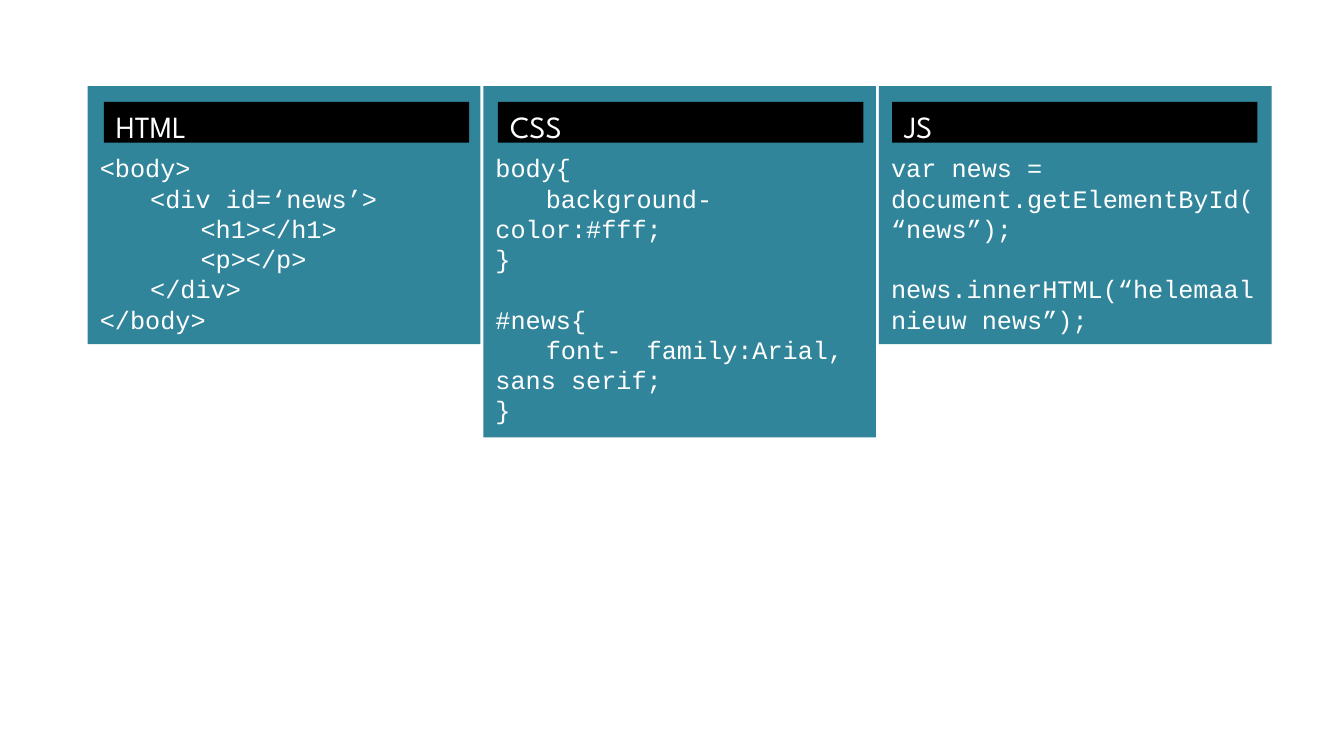
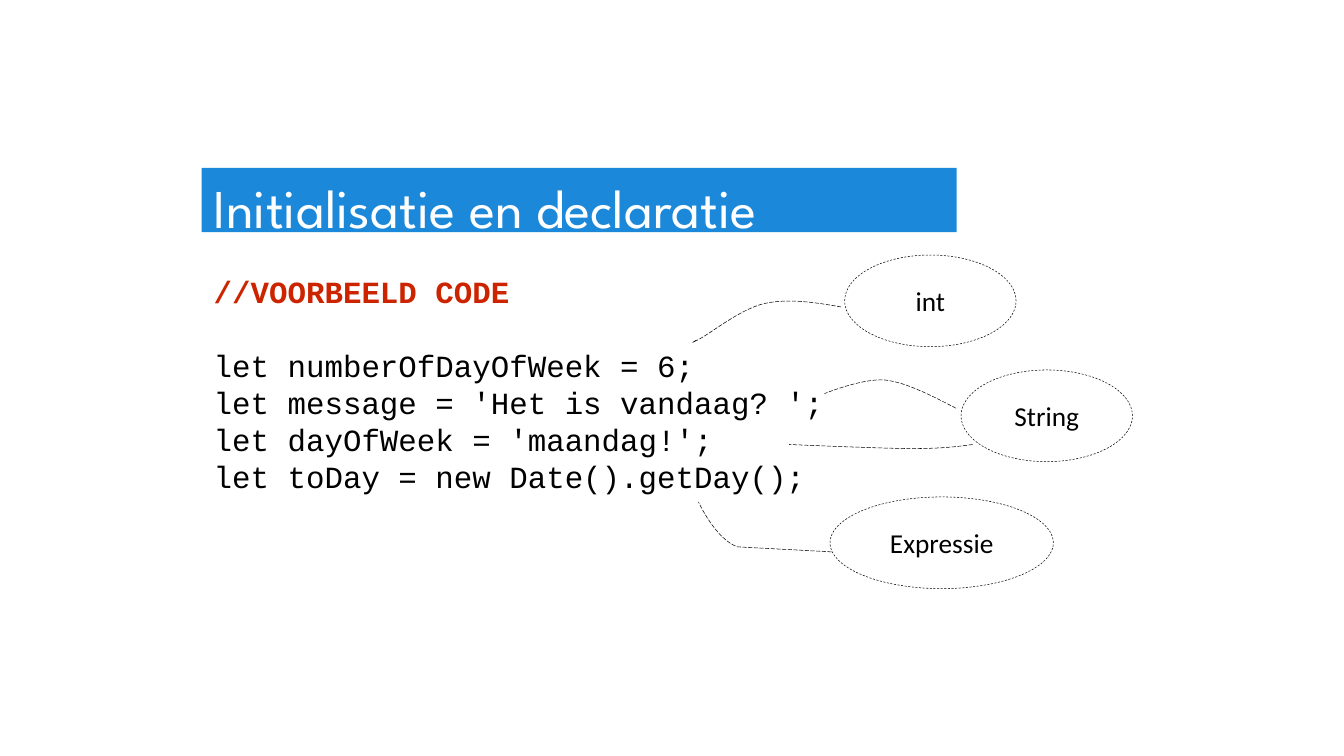
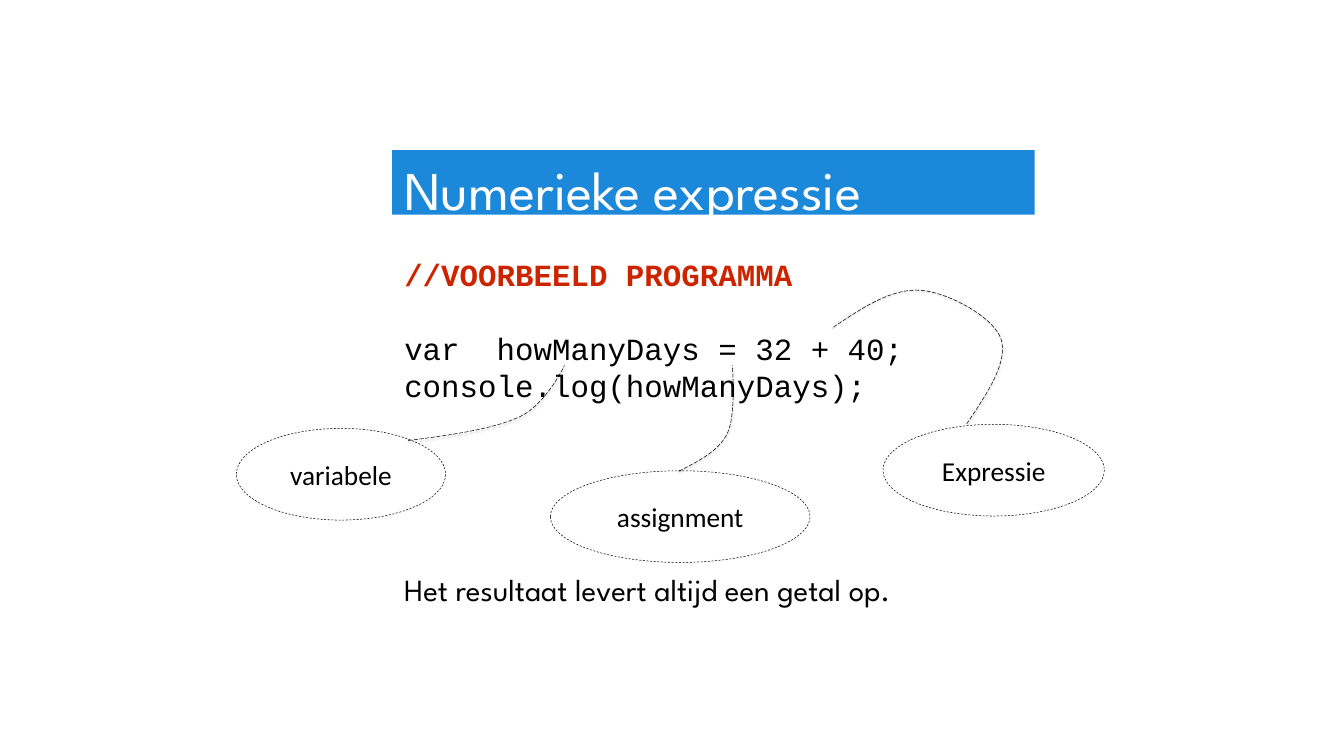
"""Three slides on web code: language panels and annotated JavaScript examples."""
import dataclasses

import lxml.etree
import pptx
import pptx.dml.color
import pptx.enum.dml
import pptx.enum.shapes
import pptx.enum.text
import pptx.oxml.ns
import pptx.util

Pt = pptx.util.Pt
qn = pptx.oxml.ns.qn
SHAPE = pptx.enum.shapes.MSO_SHAPE
DASH = pptx.enum.dml.MSO_LINE
ANCHOR = pptx.enum.text.MSO_ANCHOR
ALIGN = pptx.enum.text.PP_ALIGN


@dataclasses.dataclass(frozen=True)
class Style:
    """Typeface, size, colour and weight of a piece of text."""

    font: str
    size: int
    color: str
    bold: bool = False


@dataclasses.dataclass(frozen=True)
class Theme:
    """Colours, type styles and measures shared by all slides."""

    panel: str = "31859B"
    tab: str = "000000"
    banner: str = "1C88DA"
    ink: str = "000000"
    title: Style = Style("League Spartan", 78, "FFFFFF")
    heading: Style = Style("League Spartan", 44, "FFFFFF")
    note: Style = Style("League Spartan", 44, "000000")
    panel_code: Style = Style("Courier New", 36, "FFFFFF")
    code: Style = Style("Courier New", 44, "000000")
    comment: Style = Style("Courier New", 44, "CD2400", True)
    label: Style = Style("Calibri", 39, "000000")
    inset_x: float = 17.28
    inset_y: float = 8.64
    line_height: float = 1.2
    line_width: float = 0.75
    tab_step: float = 72
    tab_count: int = 7


THEME = Theme()


def rgb(color):
    """Turn a hex string into a colour."""
    return pptx.dml.color.RGBColor.from_string(color)


def set_tabs(p):
    """Give a paragraph evenly spaced tab stops."""
    pPr = p._p.get_or_add_pPr()
    pPr.set("defTabSz", str(Pt(THEME.tab_step)))
    stops = lxml.etree.SubElement(pPr, qn("a:tabLst"))
    for i in range(1, THEME.tab_count + 1):
        lxml.etree.SubElement(stops, qn("a:tab"), pos=str(Pt(THEME.tab_step * i)), algn="l")


def write(sp, lines, style, first=None, top=0, align=ALIGN.LEFT, anchor=ANCHOR.TOP):
    """Write lines into a shape; an empty line becomes space before the next one."""
    tf = sp.text_frame
    tf.word_wrap = True
    tf.vertical_anchor = anchor
    tf.margin_left = tf.margin_right = Pt(THEME.inset_x)
    tf.margin_top, tf.margin_bottom = Pt(THEME.inset_y + top), Pt(THEME.inset_y)
    tf.text = "\n".join(line for line in lines if line)
    paragraphs = iter(tf.paragraphs)
    gap = 0
    for i, line in enumerate(lines):
        if not line:
            gap = THEME.line_height * style.size
            continue
        p = next(paragraphs)
        if "\t" in line:
            set_tabs(p)
        p.alignment = align
        if gap:
            p.space_before = Pt(gap)
        gap = 0
        look = first if first and i == 0 else style
        for r in p.runs:
            r.font.name, r.font.size, r.font.bold = look.font, Pt(look.size), look.bold
            r.font.color.rgb = rgb(look.color)


def add_block(s, box, fill):
    """Add a plain filled rectangle."""
    sp = s.shapes.add_shape(SHAPE.RECTANGLE, *map(Pt, box))
    sp.shadow.inherit = False
    sp.fill.solid()
    sp.fill.fore_color.rgb = rgb(fill)
    sp.line.fill.background()
    return sp


def outline(sp, dash):
    """Give a shape a thin dashed outline and no fill."""
    sp.shadow.inherit = False
    sp.fill.background()
    sp.line.color.rgb = rgb(THEME.ink)
    sp.line.width = Pt(THEME.line_width)
    sp.line.dash_style = dash


def add_bubble(s, box, text):
    """Add a dashed oval with a centred label."""
    sp = s.shapes.add_shape(SHAPE.OVAL, *map(Pt, box))
    outline(sp, DASH.DASH)
    write(sp, [text], THEME.label, align=ALIGN.CENTER, anchor=ANCHOR.MIDDLE)


def add_curve(s, left, top, points, shadow):
    """Draw a dashed chain of cubic curves: a start, then three points a segment."""
    spots = [(Pt(left + x), Pt(top + y)) for x, y in points]
    builder = s.shapes.build_freeform(*spots[0])
    builder.add_line_segments(spots[1:], close=False)
    sp = builder.convert_to_shape()
    outline(sp, DASH.LONG_DASH)
    spPr = sp._element.spPr
    steps = list(spPr.iter(qn("a:lnTo")))
    for i in range(0, len(steps), 3):
        bezier = lxml.etree.Element(qn("a:cubicBezTo"))
        steps[i].addprevious(bezier)
        for step in steps[i:i + 3]:
            bezier.append(step[0])
            step.getparent().remove(step)
    if shadow:
        cast = lxml.etree.SubElement(spPr.find(qn("a:effectLst")), qn("a:outerShdw"),
                                     blurRad=str(Pt(3.1)), dist=str(Pt(1.6)),
                                     dir="5400000", rotWithShape="0")
        color = lxml.etree.SubElement(cast, qn("a:srgbClr"), val=THEME.ink)
        lxml.etree.SubElement(color, qn("a:alpha"), val="38000")


def add_panel(s, box, tab_offset, heading, lines):
    """Add a code panel with a heading tab near its top."""
    left, top = box[:2]
    sp = add_block(s, box, THEME.panel)
    write(sp, lines, THEME.panel_code, top=2 * THEME.line_height * THEME.panel_code.size)
    tab = add_block(s, (left + tab_offset, top + 22.3, 522, 58.3), THEME.tab)
    write(tab, [heading], THEME.heading)


def add_panels_slide(prs, panels):
    """Build the slide that sets the languages side by side."""
    s = prs.slides.add_slide(prs.slide_layouts[6])
    for i, (heading, height, lines) in enumerate(panels):
        box = (125.3 + 565.2 * i, 123.1, 560.9, height)
        add_panel(s, box, 23.04 - 2.16 * i, heading, lines)


def add_text(s, box, lines, style, first=None):
    """Add a text box."""
    write(s.shapes.add_textbox(*map(Pt, box)), lines, style, first)


def add_example_slide(prs, box, title, code, code_size, bubbles, curves,
                      note=None, shadow=False):
    """Build a banner, code below it and labels, all relative to the banner's box."""
    s = prs.slides.add_slide(prs.slide_layouts[6])
    left, top = box[:2]
    add_text(s, (left, top + 141.8, *code_size), code, THEME.code, THEME.comment)
    write(add_block(s, box, THEME.banner), [title], THEME.title)
    if note:
        add_text(s, (left, top + 592.7, 940.3, 58.3), [note], THEME.note)
    for text, x, y, width in bubbles:
        add_bubble(s, (left + x, top + y, width, 131), text)
    for points in curves:
        add_curve(s, left, top, points, shadow)


PANELS = [
    ("HTML", 368.6, ["<body>", "\t<div id=‘news’>", "\t\t<h1></h1>", "\t\t<p></p>",
                     "\t</div>", "</body>"]),
    ("CSS", 501.8, ["body{", "\tbackground-\tcolor:#fff;", "}", "", "#news{",
                    "\tfont-\tfamily:Arial, \tsans serif;", "}"]),
    ("JS", 368.6, ["var news = document.getElementById(“news”);", "",
                   "news.innerHTML(“helemaal nieuw news”);"]),
]

DECLARATION = dict(
    box=(288, 239.8, 1078.5, 92),
    title="Initialisatie en declaratie",
    code=["//VOORBEELD CODE", "", "let numberOfDayOfWeek = 6;",
          "let message = 'Het is vandaag? ';", "let dayOfWeek = 'maandag!';",
          "let toDay = new Date().getDay();"],
    code_size=(998.6, 355.7),
    bubbles=[("int", 918.7, 124.5, 244.8), ("String", 1085, 288.7, 244.8),
             ("Expressie", 897.8, 470.1, 319)],
    curves=[
        [(913.7, 198.7), (876.2, 192.2), (838.8, 186.4), (805, 193.6), (771.1, 200.8),
         (728.6, 235.4), (712.1, 244), (695.5, 252.7), (702, 249.1), (707.8, 245.5)],
        [(1077.8, 343.4), (1042.6, 325.4), (1007.3, 306.7), (976.3, 303.1),
         (944.6, 300.2), (889.9, 322.5), (889.9, 322.5)],
        [(1101.6, 395.2), (1080, 398.1), (1059.1, 401), (1015.2, 401),
         (972, 401), (839.5, 395.2), (839.5, 395.2)],
        [(900, 548.6), (855.1, 546.2), (810.2, 543.8), (765.4, 541.4),
         (733.7, 529.9), (709.9, 477.3), (709.9, 477.3)],
    ],
)

EXPRESSION = dict(
    box=(560.2, 214.6, 918, 92),
    title="Numerieke expressie",
    code=["//VOORBEELD PROGRAMMA", "", "var  howManyDays = 32 + 40;",
          "console.log(howManyDays);"],
    code_size=(824.4, 189.4),
    bubbles=[("variabele", -222.5, 397.4, 298.8), ("assignment", 226.1, 457.9, 370.8),
             ("Expressie", 701.3, 391.6, 316.1)],
    curves=[
        [(23, 414.7), (84.9, 406.8), (146.1, 398.1), (183.6, 380.1),
         (220.3, 362.1), (246.2, 307.4), (246.2, 307.4)],
        [(409.6, 458.6), (437.7, 444.2), (466.5, 429.8), (478.8, 404.6),
         (491.7, 379.4), (486, 307.4), (486, 307.4)],
        [(820.8, 390.9), (851, 346.3), (880.5, 301.6), (869.7, 269.2), (858.2, 237.6),
         (793.4, 202.3), (753.8, 200.1), (713.5, 197.2), (671, 225.3), (628.5, 254.1)],
    ],
    note="Het resultaat levert altijd een getal op.",
    shadow=True,
)


def main():
    """Build and save the presentation."""
    prs = pptx.Presentation()
    prs.slide_width, prs.slide_height = Pt(1920), Pt(1080)
    add_panels_slide(prs, PANELS)
    add_example_slide(prs, **DECLARATION)
    add_example_slide(prs, **EXPRESSION)
    prs.save("out.pptx")


if __name__ == "__main__":
    main()
